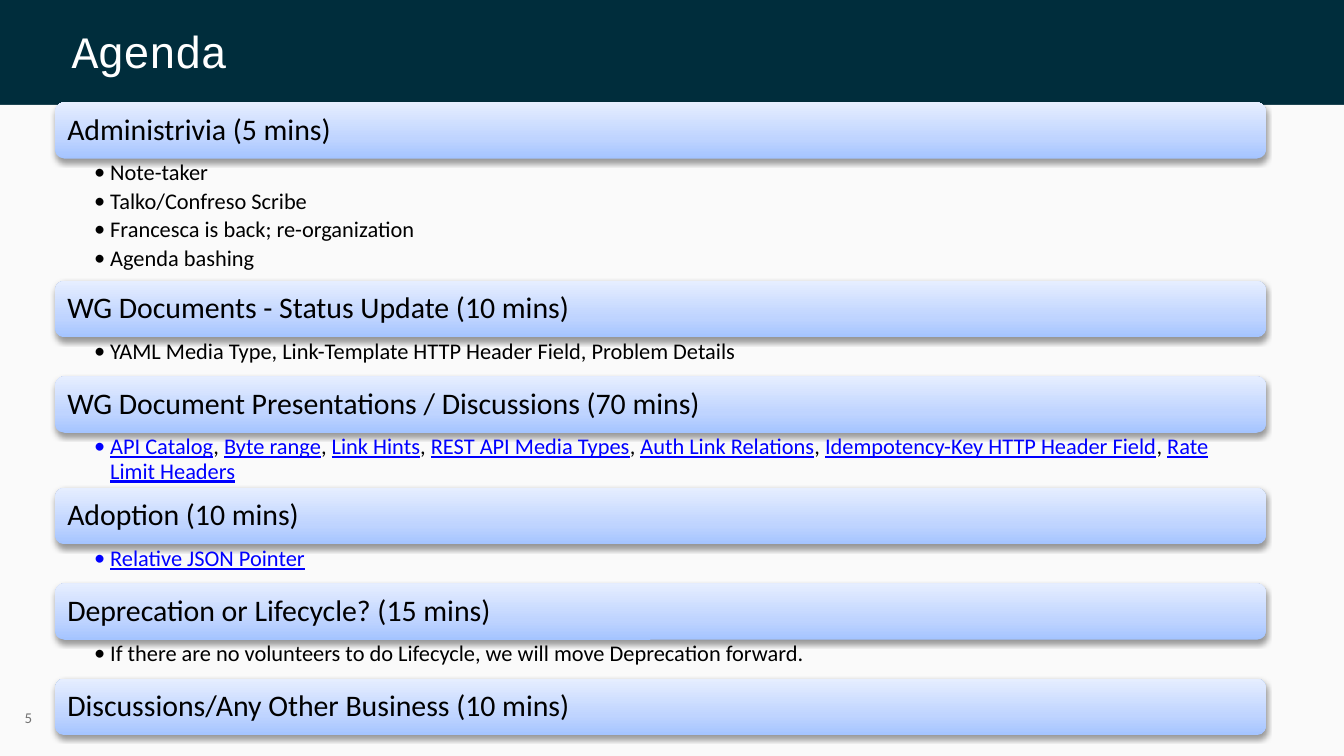
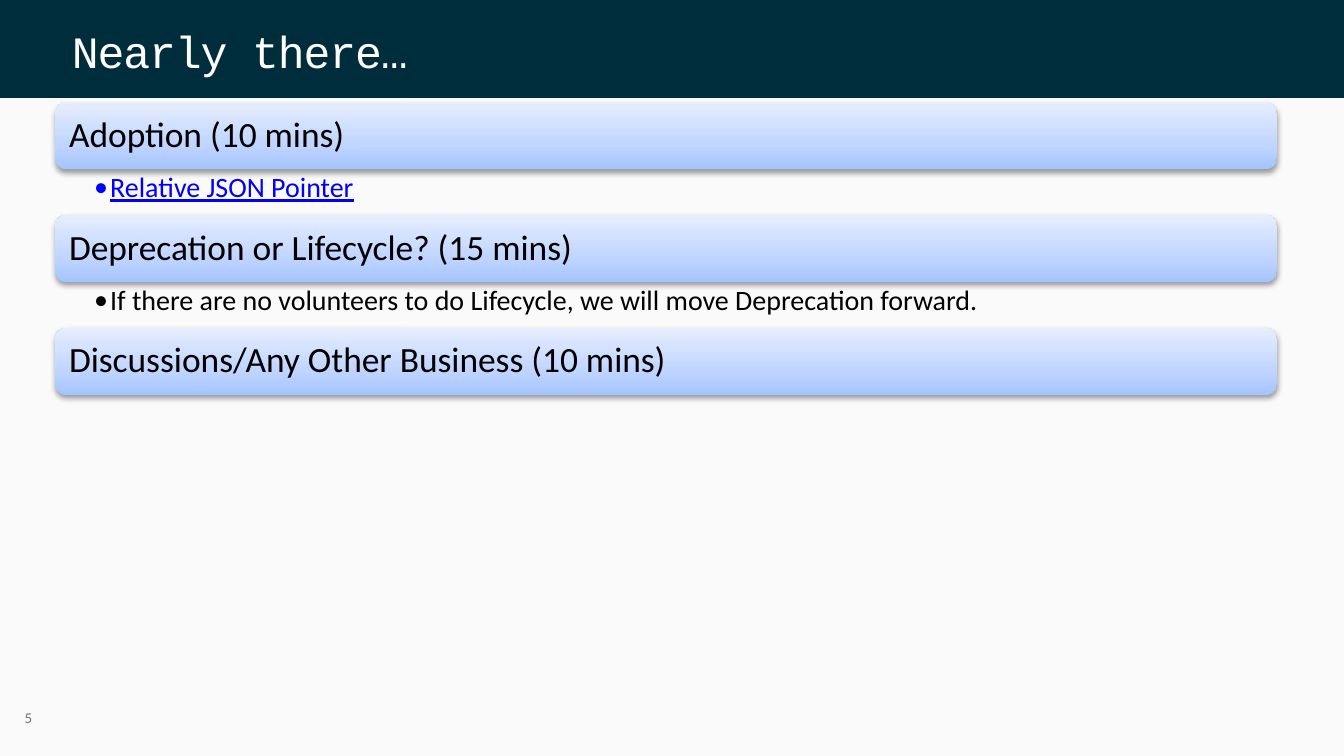
import pptx
import pptx.dml.color
import pptx.enum.shapes
import pptx.enum.text
import pptx.oxml
import pptx.oxml.ns
import pptx.util

COLS, ROWS = 1000, 1000 * 9 / 16  # slide grid of square cells
CELL = pptx.util.Inches(0.01)
COLORS = {
    "band": "002D3C", "panel": "FAFAFA", "title": "FFFFFF", "number": "737373",
    "text": "000000", "link": "0000FF", "shadow": "000000",
    "bar_low": "A4C4FF", "bar_mid": "BFD4FF", "bar_high": "E6EEFF",
}
BAR_STOPS = ((0, "bar_low"), (35, "bar_mid"), (100, "bar_high"))
BODY_FONT, TITLE_FONT = "Calibri", "Courier New"

# A bullet is plain text, or a tuple of link labels.
# Each section is (heading, bullets, rows taken by the bullets).
CLOSING = (
    ("Adoption (10 mins)", [("Relative JSON Pointer",)], 29),
    ("Deprecation or Lifecycle? (15 mins)",
     ["If there are no volunteers to do Lifecycle, we will move Deprecation forward."], 29),
    ("Discussions/Any Other Business (10 mins)", [], 0),
)
OPENING = (
    ("Administrivia (5 mins)",
     ["Note-taker", "Talko/Confreso Scribe", "Francesca is back; re-organization",
      "Agenda bashing"], 91),
    ("WG Documents - Status Update (10 mins)",
     ["YAML Media Type, Link-Template HTTP Header Field, Problem Details"], 29),
    ("WG Document Presentations / Discussions (70 mins)",
     [("API Catalog", "Byte range", "Link Hints", "REST API Media Types",
       "Auth Link Relations", "Idempotency-Key HTTP Header Field",
       "Rate Limit Headers")], 41),
)


def rgb(name):
    return pptx.dml.color.RGBColor.from_string(COLORS[name])


def grid(*cells):
    return [round(c * CELL) for c in cells]


def set_frame(sp, insets):
    """Turn on wrapping and set left, top, right, bottom insets in cells."""
    tf = sp.text_frame
    tf.word_wrap = True
    tf.margin_left, tf.margin_top, tf.margin_right, tf.margin_bottom = grid(*insets)
    return tf


def add_run(p, text, size, color, font=BODY_FONT, spacing=None):
    r = p.add_run()
    r.text = text
    r.font.size = pptx.util.Pt(size)
    r.font.name = font
    r.font.color.rgb = rgb(color)
    if color == "link":
        r.font.underline = True
    if spacing is not None:
        r._r.get_or_add_rPr().set("spc", str(round(spacing * 100)))


def add_label(s, box, text, size, color, font, spacing):
    tf = set_frame(s.shapes.add_textbox(*grid(*box)), (0, 1.4, 0, 0))
    p = tf.paragraphs[0]
    p.space_before = pptx.util.Pt(1)
    p._p.get_or_add_pPr().set("marL", str(pptx.util.Pt(1)))
    add_run(p, text, size, color, font, spacing)


def style_bar(sp):
    """Give a bar its upward gradient and soft shadow below."""
    sp.line.fill.background()
    sp.fill.gradient()
    sp.fill.gradient_angle = 90
    ns = pptx.oxml.ns.nsdecls("a")
    stops = "".join(
        f'<a:gs pos="{pos * 1000}"><a:srgbClr val="{COLORS[c]}"/></a:gs>'
        for pos, c in BAR_STOPS)
    spPr = sp._element.spPr
    old = spPr.find(".//" + pptx.oxml.ns.qn("a:gsLst"))
    old.getparent().replace(
        old, pptx.oxml.parse_xml(f"<a:gsLst {ns}>{stops}</a:gsLst>"))
    sp.shadow.inherit = False
    spPr.find(pptx.oxml.ns.qn("a:effectLst")).append(pptx.oxml.parse_xml(
        f'<a:outerShdw {ns} blurRad="40000" dist="20000" dir="5400000" rotWithShape="0">'
        f'<a:srgbClr val="{COLORS["shadow"]}"><a:alpha val="38000"/></a:srgbClr>'
        "</a:outerShdw>"))


def add_bar(s, box, heading, size, inset):
    sp = s.shapes.add_shape(
        pptx.enum.shapes.MSO_SHAPE.ROUNDED_RECTANGLE, *grid(*box))
    style_bar(sp)
    tf = set_frame(sp, [inset] * 4)
    tf.vertical_anchor = pptx.enum.text.MSO_ANCHOR.MIDDLE
    p = tf.paragraphs[0]
    p.alignment = pptx.enum.text.PP_ALIGN.LEFT
    p.line_spacing = 0.9
    add_run(p, heading, size, "text")


def add_bullets(s, box, bullets, size, insets):
    tf = set_frame(s.shapes.add_textbox(*grid(*box)), insets)
    ns = pptx.oxml.ns.nsdecls("a")
    for i, bullet in enumerate(bullets):
        p = tf.paragraphs[0] if i == 0 else tf.add_paragraph()
        p.level = 1
        p.line_spacing = 0.9
        p.space_after = pptx.util.Pt(size * 0.2)
        pPr = p._p.get_or_add_pPr()
        pPr.set("marL", str(12 * CELL))
        pPr.set("indent", str(-12 * CELL))
        pPr.append(pptx.oxml.parse_xml(f'<a:buFont {ns} typeface="{BODY_FONT}"/>'))
        pPr.append(pptx.oxml.parse_xml(f'<a:buChar {ns} char="•"/>'))
        if isinstance(bullet, str):
            add_run(p, bullet, size, "text")
            continue
        for j, label in enumerate(bullet):
            if j:
                add_run(p, ", ", size, "text")
            add_run(p, label, size, "link")


def add_sections(s, left, top, width, sections, bar_rows, sizes, bar_inset, insets):
    """Stack each heading bar and its bullets from top downwards."""
    for heading, bullets, rows in sections:
        add_bar(s, (left, top, width, bar_rows), heading, sizes[0], bar_inset)
        top += bar_rows
        if bullets:
            add_bullets(s, (left, top, width, rows), bullets, sizes[1], insets)
        top += rows


def add_base(prs, title, title_box, band_rows):
    """Add a slide with the panel under its title band, and its number."""
    s = prs.slides.add_slide(prs.slide_layouts[6])
    panel = s.shapes.add_shape(
        pptx.enum.shapes.MSO_SHAPE.RECTANGLE,
        *grid(0, band_rows, COLS, ROWS - band_rows))
    panel.shadow.inherit = False
    panel.fill.solid()
    panel.fill.fore_color.rgb = rgb("panel")
    panel.line.fill.background()
    add_label(s, title_box, title, 24, "title", TITLE_FONT, -0.6)
    add_label(s, (17, 526, 9, 16), "5", 8, "number", BODY_FONT, 0.5)
    return s


def main():
    prs = pptx.Presentation()
    prs.slide_width, prs.slide_height = grid(COLS, ROWS)
    fill = prs.slide_master.background.fill
    fill.solid()
    fill.fore_color.rgb = rgb("band")

    s = add_base(prs, "Agenda", (52, 16, 120, 43), 78)
    add_sections(s, 41, 76, 901, OPENING + CLOSING, 42, (16, 12), 7, (29, 2, 12, 2))

    s = add_base(prs, "Nearly there…", (52, 16, 448, 42), 73)
    larger = [(heading, bullets, 34 if bullets else 0) for heading, bullets, _ in CLOSING]
    add_sections(s, 41, 76, 909, larger, 50, (19, 15), 8, (29, 3, 15, 3))

    prs.save("out.pptx")


if __name__ == "__main__":
    main()
